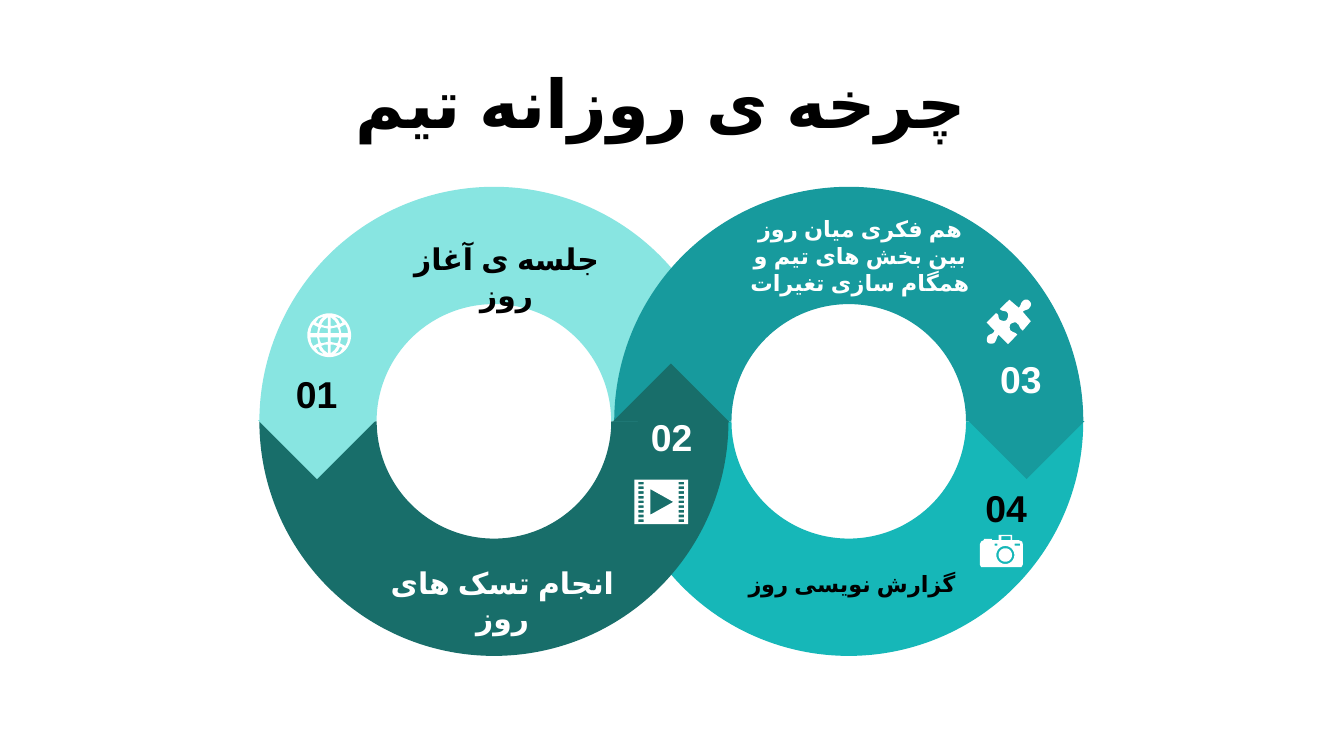
import math
from dataclasses import dataclass

from lxml import etree
from pptx import Presentation
from pptx.dml.color import RGBColor
from pptx.enum import lang, shapes, text
from pptx.oxml.ns import qn
from pptx.util import Inches, Pt


@dataclass(frozen=True)
class Theme:
    """Colours, font and type sizes of the slide."""
    black: str = "000000"
    white: str = "FFFFFF"
    mint: str = "88E5E1"
    pine: str = "186E6A"
    teal: str = "179A9D"
    aqua: str = "16B7B8"
    font: str = "Arial"
    title: int = 36
    number: int = 20
    label: int = 16
    small: int = 12


T = Theme()
RING = 3.49
RING_STEP = 2.64
SHAPE = shapes.MSO_SHAPE
ALIGN = text.PP_ALIGN

GLOBE_QUADRANT = [
    [(.01, .07), (.01, .135), (.04, .11), (.06, .08), (.035, .07)],
    [(.01, .015), (.01, .05), (.06, .06), (.07, .04), (.075, .015)],
    [(.09, .015), (.085, .04), (.08, .06), (.12, .08), (.135, .05), (.14, .015)],
    [(.08, .085), (.065, .115), (.04, .14), (.08, .125), (.1, .095)],
]
PUZZLE = [
    (.32, .01), (.33, .02, .34, .04, .32, .06), (.31, .08, .29, .07, .27, .09),
    (.33, .16), (.27, .23), (.24, .21, .25, .19, .23, .18),
    (.22, .16, .2, .17, .18, .18), (.17, .19, .17, .22, .18, .23),
    (.21, .25, .21, .24, .23, .26), (.16, .33), (.09, .26),
    (.07, .29, .08, .29, .06, .32), (.05, .33, .02, .33, .01, .32),
    (0, .31, 0, .29, .01, .27), (.03, .25, .05, .26, .06, .23), (0, .17),
    (.07, .1), (.1, .11, .08, .13, .1, .15), (.12, .16, .14, .16, .15, .15),
    (.16, .13, .17, .11, .15, .09), (.13, .08, .12, .09, .1, .07), (.17, 0),
    (.24, .06), (.26, .04, .25, .03, .27, .01), (.29, -.01, .31, 0, .32, .01),
]


def paint(sp, color):
    """Fill a shape plainly, without line or shadow."""
    sp.shadow.inherit = False
    sp.fill.solid()
    sp.fill.fore_color.rgb = RGBColor.from_string(color)
    sp.line.fill.background()


def add_preset(s, kind, box, color, rotation=0):
    """Add a filled preset shape in the box."""
    sp = s.shapes.add_shape(kind, *map(Inches, box))
    sp.rotation = rotation
    paint(sp, color)


def add_text(s, words, box, size, color, align=ALIGN.CENTER, wrap=True,
             anchor=text.MSO_ANCHOR.TOP):
    """Add one bold paragraph in the box."""
    tf = s.shapes.add_textbox(*map(Inches, box)).text_frame
    tf.word_wrap = wrap
    tf.vertical_anchor = anchor
    p = tf.paragraphs[0]
    p.alignment = align
    r = p.add_run()
    r.text = words
    r.font.size = Pt(size)
    r.font.bold = True
    r.font.color.rgb = RGBColor.from_string(color)
    r.font.name = T.font
    r.font.language_id = lang.MSO_LANGUAGE_ID.FARSI
    etree.SubElement(r._r.get_or_add_rPr(), qn("a:cs"), typeface=T.font)


def rect(x, y, w, h):
    """Return the corners of a rectangle."""
    return [(x, y), (x + w, y), (x + w, y + h), (x, y + h)]


def circle(x, y, radius, steps=48):
    """Return points around a circle."""
    angles = [2 * math.pi * i / steps for i in range(steps)]
    return [(x + radius * math.cos(a), y + radius * math.sin(a)) for a in angles]


def flatten(segments, steps=6):
    """Turn points and cubic curves into a list of points."""
    points = []
    for seg in segments:
        if len(seg) == 2:
            points.append(seg)
            continue
        start = points[-1]
        for t in (i / steps for i in range(1, steps + 1)):
            weights = ((1 - t) ** 3, 3 * t * (1 - t) ** 2, 3 * t * t * (1 - t), t ** 3)
            controls = (start, seg[:2], seg[2:4], seg[4:])
            points.append(tuple(sum(w * c[k] for w, c in zip(weights, controls))
                                for k in (0, 1)))
    return points


def add_icon(s, x, y, contours):
    """Draw contours, with holes, as one white outline at a corner."""
    placed = [[(Inches(x + px), Inches(y + py)) for px, py in c] for c in contours]
    builder = s.shapes.build_freeform(*placed[0][0])
    for i, points in enumerate(placed):
        if i:
            builder.move_to(*points[0])
        builder.add_line_segments(points[1:], close=True)
    paint(builder.convert_to_shape(), T.white)


def globe(s, x, y):
    """Draw a globe whose grid mirrors one quadrant."""
    cells = [[(.16 + sx * u, .165 + sy * v) for u, v in cell]
             for cell in GLOBE_QUADRANT for sx in (-1, 1) for sy in (-1, 1)]
    add_icon(s, x, y, [circle(.16, .165, .163)] + cells)


def film(s, x, y):
    """Draw a film frame with two rows of perforations and a play mark."""
    holes = [rect(hx, .015 + .035 * i, .04, .02) for hx in (.03, .33) for i in range(9)]
    add_icon(s, x, y, [rect(0, 0, .4, .33), [(.12, .07), (.12, .26), (.29, .165)]] + holes)


def puzzle(s, x, y):
    """Draw a puzzle piece."""
    add_icon(s, x, y, [flatten(PUZZLE)])


def camera(s, x, y):
    """Draw a camera."""
    body = [(.03, .04), (.03, .03), (.09, .03), (.09, .04), (.14, .04), (.14, 0),
            (.24, 0), (.24, .04), (.29, .04), (.315, .05), (.32, .07), (.32, .22),
            (.31, .24), (.01, .24), (0, .22), (0, .07), (.01, .05)]
    details = [rect(.11, .065, .02, .015), rect(.26, .065, .04, .015),
               rect(.16, .01, .07, .03)]
    add_icon(s, x, y, [body, circle(.19, .15, .067), circle(.19, .15, .05)] + details)


def cycle(s, x, y):
    """Draw two linked rings with arrow points at the joints."""
    arcs = [(1, 180, T.aqua), (0, 0, T.mint), (1, 0, T.teal), (0, 180, T.pine)]
    for column, rotation, color in arcs:
        add_preset(s, SHAPE.BLOCK_ARC, (x + column * RING_STEP, y, RING, RING),
                   color, rotation)
    points = [(1.43, 315, T.mint), (1.44, 135, T.pine), (1.43, 315, T.teal)]
    for i, (dy, rotation, color) in enumerate(points):
        add_preset(s, SHAPE.RIGHT_TRIANGLE, (x + .12 + i * RING_STEP, y + dy, .61, .62),
                   color, rotation)


def stage(s, number, number_at, icon, icon_at, words, label_box, size, color):
    """Place a stage's number, icon and label."""
    add_text(s, number, (*number_at, .51, .44), T.number, color, ALIGN.RIGHT, wrap=False)
    icon(s, *icon_at)
    add_text(s, words, label_box, size, color)


def main():
    """Build the slide."""
    prs = Presentation()
    prs.slide_width = Inches(10)
    prs.slide_height = prs.slide_width * 9 // 16
    s = prs.slides.add_slide(prs.slide_layouts[6])
    add_text(s, "چرخه ی روزانه تیم", (-.08, .44, 10, .63), T.title, T.black,
             anchor=text.MSO_ANCHOR.MIDDLE)
    cycle(s, 1.93, 1.39)
    stage(s, "01", (2.1, 2.71), globe, (2.29, 2.33), "جلسه ی آغاز روز",
          (2.79, 1.74, 1.96, .37), T.label, T.black)
    stage(s, "02", (4.74, 3.03), film, (4.72, 3.57), "انجام تسک های روز",
          (2.76, 4.15, 1.96, .37), T.label, T.white)
    stage(s, "03", (7.34, 2.6), puzzle, (7.34, 2.23),
          "هم فکری میان روز بین بخش های تیم و همگام سازی تغیرات",
          (5.42, 1.55, 1.96, .5), T.small, T.white)
    stage(s, "04", (7.23, 3.56), camera, (7.29, 3.98), "گزارش نویسی روز",
          (5.36, 4.19, 1.96, .3), T.small, T.black)
    prs.save("out.pptx")


if __name__ == "__main__":
    main()
